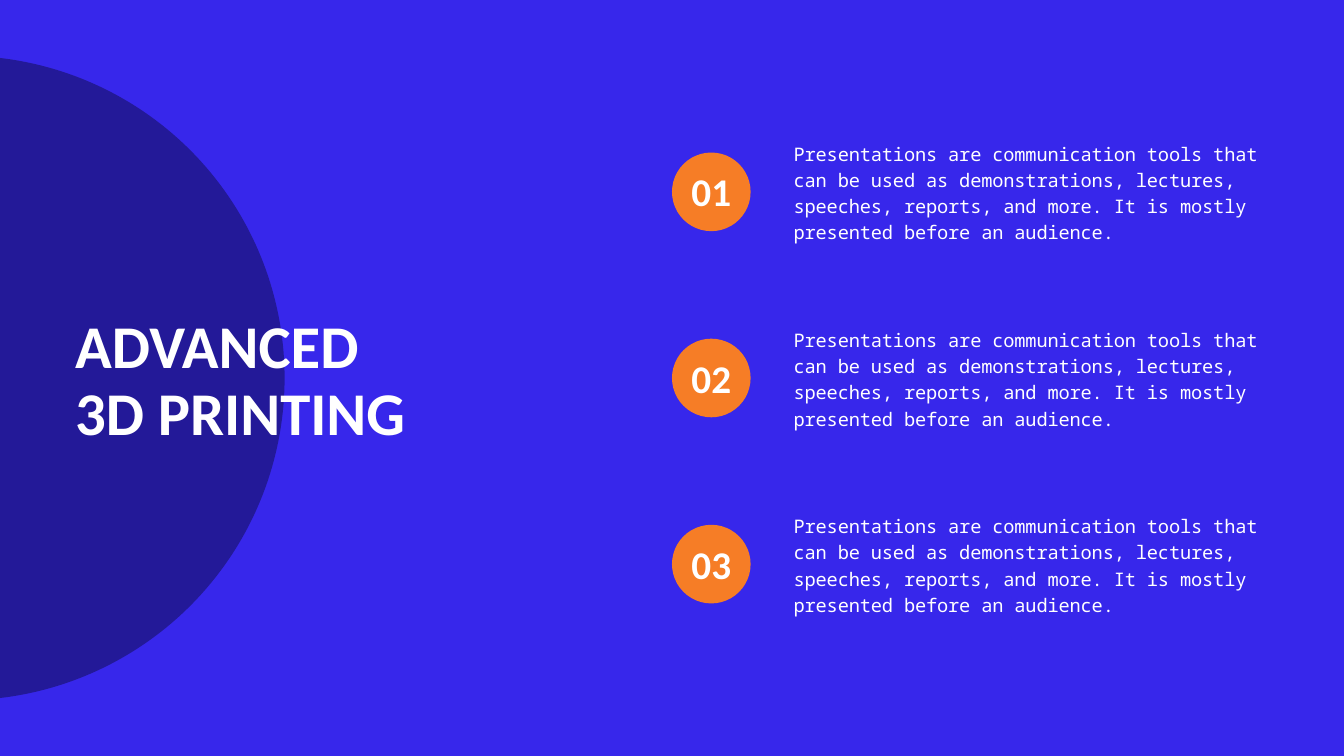
from pptx import Presentation
from pptx.dml.color import RGBColor
from pptx.enum.shapes import MSO_SHAPE
from pptx.enum.text import MSO_ANCHOR, PP_ALIGN
from pptx.util import Inches, Pt
from lxml import etree

OVAL = MSO_SHAPE.OVAL
TOP, MIDDLE = MSO_ANCHOR.TOP, MSO_ANCHOR.MIDDLE
LEFT, CENTER = PP_ALIGN.LEFT, PP_ALIGN.CENTER

SLIDE_W, SLIDE_H = 20, 11.25
BLUE, BLACK, ORANGE, WHITE = "3727EB", "000000", "F67D26", "FFFFFF"
HEADING_FONT, BODY_FONT = "Calibri", "Noto Sans Mono"
DRAWING_NS = "http://schemas.openxmlformats.org/drawingml/2006/main"

TITLE_LINES = ["ADVANCED", "3D PRINTING"]
DESCRIPTION = ("Presentations are communication tools that can be used as "
               "demonstrations, lectures, speeches, reports, and more. "
               "It is mostly presented before an audience.")
POINTS = [("01", DESCRIPTION), ("02", DESCRIPTION), ("03", DESCRIPTION)]
ROW_PITCH = 2.77


def paint(fill, color):
    fill.solid()
    fill.fore_color.rgb = RGBColor.from_string(color)


def add_circle(slide, center_x, center_y, diameter, color, opacity=100):
    circle = slide.shapes.add_shape(
        OVAL, Inches(center_x - diameter / 2), Inches(center_y - diameter / 2),
        Inches(diameter), Inches(diameter))
    circle.shadow.inherit = False
    circle.line.fill.background()
    paint(circle.fill, color)
    if opacity < 100:
        color_element = circle._element.spPr.find(f".//{{{DRAWING_NS}}}srgbClr")
        etree.SubElement(color_element, f"{{{DRAWING_NS}}}alpha",
                         val=str(opacity * 1000))
    return circle


def write(shape, lines, size, spacing, font, bold=False, align=LEFT,
          anchor=TOP, tracking=0):
    frame = shape.text_frame
    frame.margin_left = frame.margin_right = 0
    frame.margin_top = frame.margin_bottom = 0
    frame.word_wrap = True
    frame.vertical_anchor = anchor
    frame.text = "\n".join(lines)
    for paragraph in frame.paragraphs:
        paragraph.alignment = align
        paragraph.line_spacing = Pt(spacing)
        for run in paragraph.runs:
            run.font.size = Pt(size)
            run.font.name = font
            run.font.bold = bold
            run.font.color.rgb = RGBColor.from_string(WHITE)
            if tracking:
                run.font._element.set("spc", str(round(tracking * 100)))


def add_title(slide, left, top, width, height):
    # Shaded disc, cut by the left edge of the slide
    add_circle(slide, -0.56, SLIDE_H / 2, 9.59, BLACK, opacity=35)

    title = slide.shapes.add_textbox(
        Inches(left), Inches(top), Inches(width), Inches(height))
    write(title, TITLE_LINES, 65, 71.5, HEADING_FONT, bold=True)


def add_point(slide, left, top, width, height, number, description):
    # Numbered badge
    diameter = 1.17
    badge = add_circle(slide, left + diameter / 2, top + height / 2 + 0.03,
                       diameter, ORANGE)
    write(badge, [number], 42, 46.1, HEADING_FONT, bold=True,
          align=CENTER, anchor=MIDDLE)
    badge.text_frame.margin_top = Inches(0.04)

    # Description beside the badge
    indent = 1.81
    body = slide.shapes.add_textbox(
        Inches(left + indent), Inches(top),
        Inches(width - indent), Inches(height))
    write(body, [description], 20, 28, BODY_FONT, tracking=-0.2)


def main():
    deck = Presentation()
    deck.slide_width, deck.slide_height = Inches(SLIDE_W), Inches(SLIDE_H)
    slide = deck.slides.add_slide(deck.slide_layouts[6])
    paint(slide.background.fill, BLUE)

    add_title(slide, 1.12, 4.67, 7.46, 1.98)
    for row, (number, description) in enumerate(POINTS):
        add_point(slide, SLIDE_W / 2, 2.07 + row * ROW_PITCH, 8.88, 1.51,
                  number, description)

    deck.save("out.pptx")


if __name__ == "__main__":
    main()
